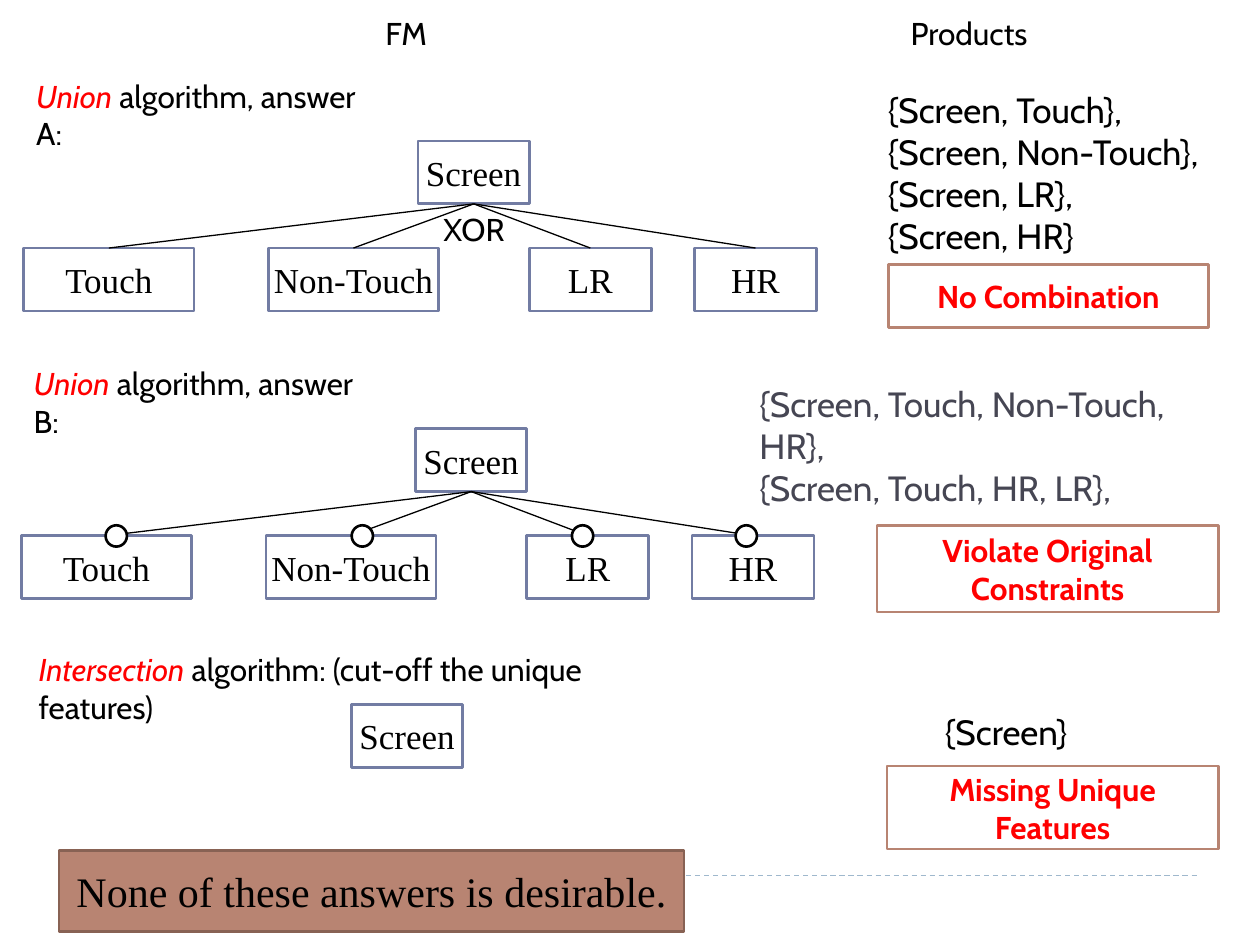
"""Build a slide that compares feature model merging answers."""
from dataclasses import dataclass

from lxml import etree
from pptx import Presentation
from pptx.dml.color import RGBColor
from pptx.enum.dml import MSO_LINE
from pptx.enum.shapes import MSO_CONNECTOR, MSO_SHAPE
from pptx.enum.text import MSO_ANCHOR, PP_ALIGN
from pptx.oxml.ns import qn
from pptx.shapes.autoshape import Shape
from pptx.shapes.connector import Connector
from pptx.slide import Slide
from pptx.text.text import _Paragraph
from pptx.util import Cm, Pt

RECT = MSO_SHAPE.RECTANGLE
OVAL = MSO_SHAPE.OVAL
LINE = MSO_CONNECTOR.STRAIGHT
DASH = MSO_LINE.DASH
MIDDLE = MSO_ANCHOR.MIDDLE
CENTER = PP_ALIGN.CENTER

WHITE = RGBColor(0xFF, 0xFF, 0xFF)
BLACK = RGBColor(0x00, 0x00, 0x00)
RED = RGBColor(0xFF, 0x00, 0x00)
BLUE = RGBColor(0x72, 0x7C, 0xA3)
PALE = RGBColor(0x9F, 0xB8, 0xCD)
SLATE = RGBColor(0x46, 0x46, 0x53)
CLAY = RGBColor(0xB8, 0x84, 0x72)
BROWN = RGBColor(0x88, 0x62, 0x54)

SANS = "Cabin"
SERIF = "Times New Roman"


@dataclass(frozen=True)
class Area:
    x: float
    y: float
    w: float
    h: float

    def frame(self) -> list[Cm]:
        return [Cm(v) for v in (self.x, self.y, self.w, self.h)]


@dataclass(frozen=True)
class Style:
    face: str
    size: int
    color: RGBColor = BLACK
    bold: bool = False


@dataclass(frozen=True)
class Child:
    text: str
    dx: float
    width: float
    ring: float


@dataclass(frozen=True)
class Lead:
    area: Area
    key: str
    rest: str


@dataclass(frozen=True)
class Label:
    area: Area
    lines: tuple[str, ...]
    style: Style


NODE = Style(SERIF, 20)
HEAD = Style(SANS, 18)
ITEM = Style(SANS, 20)
NOTE = Style(SANS, 18, RED, True)
CLOSE = Style(SERIF, 24)

CHILDREN = (
    Child("Touch", 0, 3.43, 1.7),
    Child("Non-Touch", 4.93, 3.43, 6.66),
    Child("LR", 10.19, 2.46, 11.1),
    Child("HR", 13.52, 2.46, 14.4),
)
LEADS = (
    Lead(Area(0.48, 1.42, 7.47, 1.02), "Union ", "algorithm, answer A:"),
    Lead(Area(0.43, 7.21, 7.47, 1.02), "Union ", "algorithm, answer B:"),
    Lead(Area(0.53, 12.98, 13.46, 1.02), "Intersection ",
         "algorithm: (cut-off the unique features)"),
)
LABELS = (
    Label(Area(7.52, 0.15, 1.75, 1.27), ("FM",), HEAD),
    Label(Area(18.11, 0.15, 3.51, 1.27), ("Products",), HEAD),
    Label(Area(8.69, 4.11, 1.85, 1.02), ("XOR",), HEAD),
    Label(Area(17.65, 1.65, 6.91, 3.68),
          ("{Screen, Touch},", "{Screen, Non-Touch},", "{Screen, LR},",
           "{Screen, HR}"), ITEM),
    Label(Area(18.8, 14.2, 3.12, 1.12), ("{Screen}",), ITEM),
)
NOTES = (
    (Area(17.91, 5.33, 6.45, 1.27), "No Combination"),
    (Area(17.68, 10.59, 6.88, 1.75), "Violate Original Constraints"),
    (Area(17.88, 15.44, 6.68, 1.68), "Missing Unique Features"),
)


def set_font(para: _Paragraph, style: Style) -> None:
    """Give a paragraph its font."""
    font = para.font
    font.name, font.size, font.bold = style.face, Pt(style.size), style.bold
    font.color.rgb = style.color


def add_form(slide: Slide, kind: MSO_SHAPE, area: Area, edge: RGBColor,
             fill: RGBColor = WHITE) -> Shape:
    """Draw a filled and outlined shape."""
    form = slide.shapes.add_shape(kind, *area.frame())
    form.shadow.inherit = False
    form.fill.solid()
    form.fill.fore_color.rgb = fill
    form.line.color.rgb = edge
    form.line.width = Pt(1.5)
    return form


def add_box(slide: Slide, area: Area, text: str, style: Style,
            edge: RGBColor = BLUE, fill: RGBColor = WHITE,
            wrap: bool = False) -> Shape:
    """Draw a rectangle with centred text."""
    box = add_form(slide, RECT, area, edge, fill)
    frame = box.text_frame
    frame.word_wrap = wrap
    frame.vertical_anchor = MIDDLE
    para = frame.paragraphs[0]
    para.text = text
    para.alignment = CENTER
    set_font(para, style)
    return box


def add_line(slide: Slide, start: tuple[float, float],
             end: tuple[float, float], color: RGBColor) -> Connector:
    """Draw a thin straight line."""
    line = slide.shapes.add_connector(
        LINE, *(Cm(v) for v in (*start, *end)))
    line.line.color.rgb = color
    line.line.width = Pt(0.75)
    etree.SubElement(line._element.spPr, qn("a:effectLst"))
    return line


def add_label(slide: Slide, label: Label) -> None:
    """Write one paragraph for each line of a label."""
    frame = slide.shapes.add_textbox(*label.area.frame()).text_frame
    frame.word_wrap = True
    frame.text = "\n".join(label.lines)
    for para in frame.paragraphs:
        set_font(para, label.style)


def add_lead(slide: Slide, lead: Lead) -> None:
    """Write a heading that opens with a red italic term."""
    frame = slide.shapes.add_textbox(*lead.area.frame()).text_frame
    frame.word_wrap = True
    para = frame.paragraphs[0]
    set_font(para, HEAD)
    key = para.add_run()
    key.text = lead.key
    key.font.italic = True
    key.font.color.rgb = RED
    para.add_run().text = lead.rest


def add_root(slide: Slide, x: float, y: float) -> Shape:
    """Draw the root feature."""
    return add_box(slide, Area(x, y, 2.24, 1.27), "Screen", NODE)


def add_tree(slide: Slide, x: float, y: float, rings: bool) -> None:
    """Draw a root with its children, optional ones marked by rings."""
    root = add_root(slide, x + 7.95, y)
    for child in CHILDREN:
        area = Area(x + child.dx, y + 2.16, child.width, 1.27)
        box = add_box(slide, area, child.text, NODE)
        line = add_line(slide, (x, y), (area.x, area.y), BLACK)
        line.begin_connect(root, 2)
        line.end_connect(box, 0)
        if rings:
            add_form(slide, OVAL, Area(x + child.ring, y + 1.95, 0.43, 0.43),
                     BLACK)


def main() -> None:
    """Build and save the slide."""
    deck = Presentation()
    deck.slide_width, deck.slide_height = Cm(25.4), Cm(19.05)
    slide = deck.slides.add_slide(deck.slide_layouts[6])
    add_line(slide, (1.27, 17.65), (24.13, 17.65), PALE).line.dash_style = DASH
    add_label(slide, Label(
        Area(15.06, 7.59, 9.93, 2.82),
        ("{Screen, Touch, Non-Touch, HR},", "{Screen, Touch, HR, LR},", "…"),
        Style(SANS, 20, SLATE)))
    add_tree(slide, 0.48, 2.84, False)
    add_tree(slide, 0.43, 8.64, True)
    add_root(slide, 7.09, 14.2)
    for lead in LEADS:
        add_lead(slide, lead)
    for label in LABELS:
        add_label(slide, label)
    for area, text in NOTES:
        add_box(slide, area, text, NOTE, CLAY, wrap=True)
    add_box(slide, Area(1.19, 17.15, 12.6, 1.63),
            "None of these answers is desirable.", CLOSE, BROWN, CLAY)
    deck.save("out.pptx")


if __name__ == "__main__":
    main()
